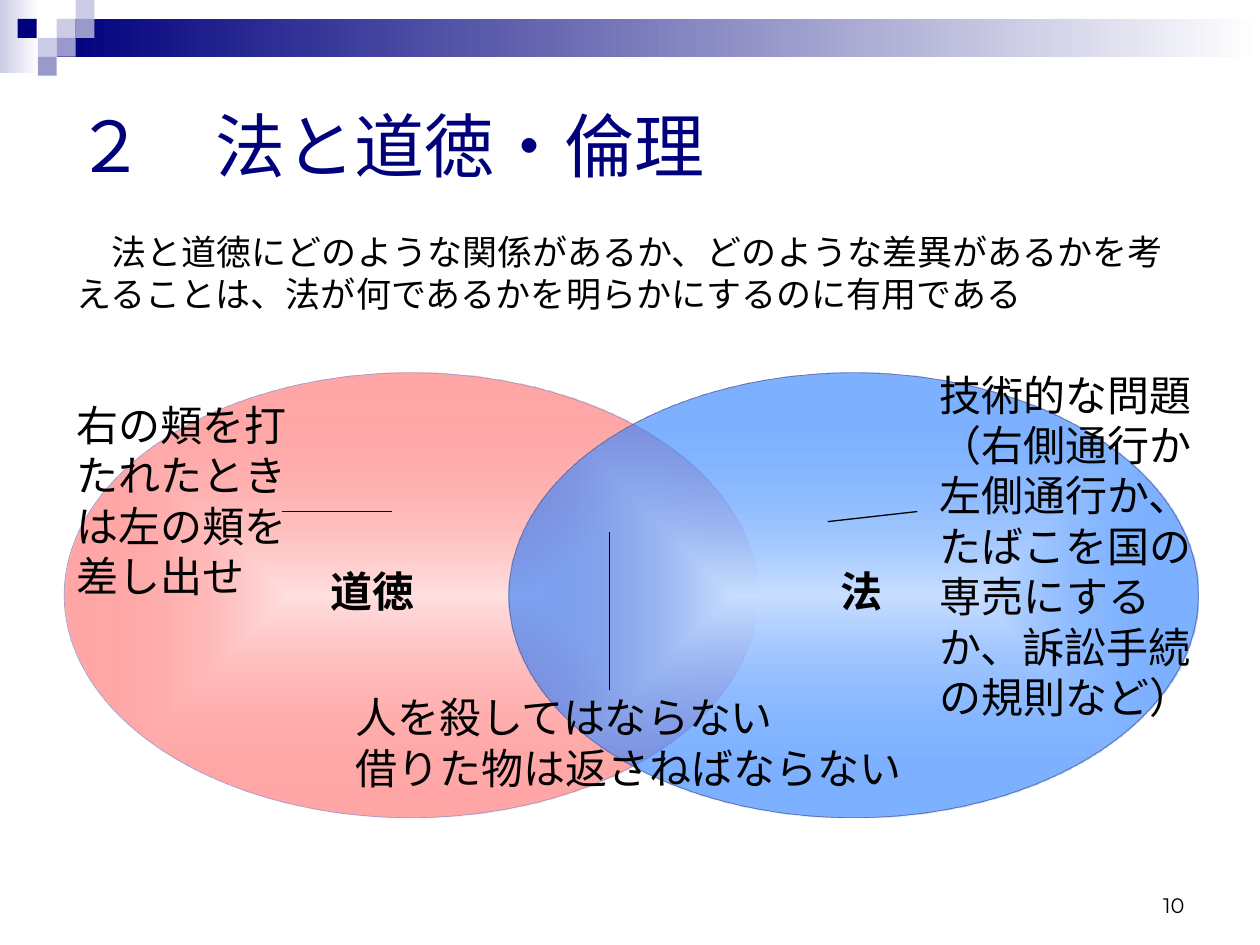
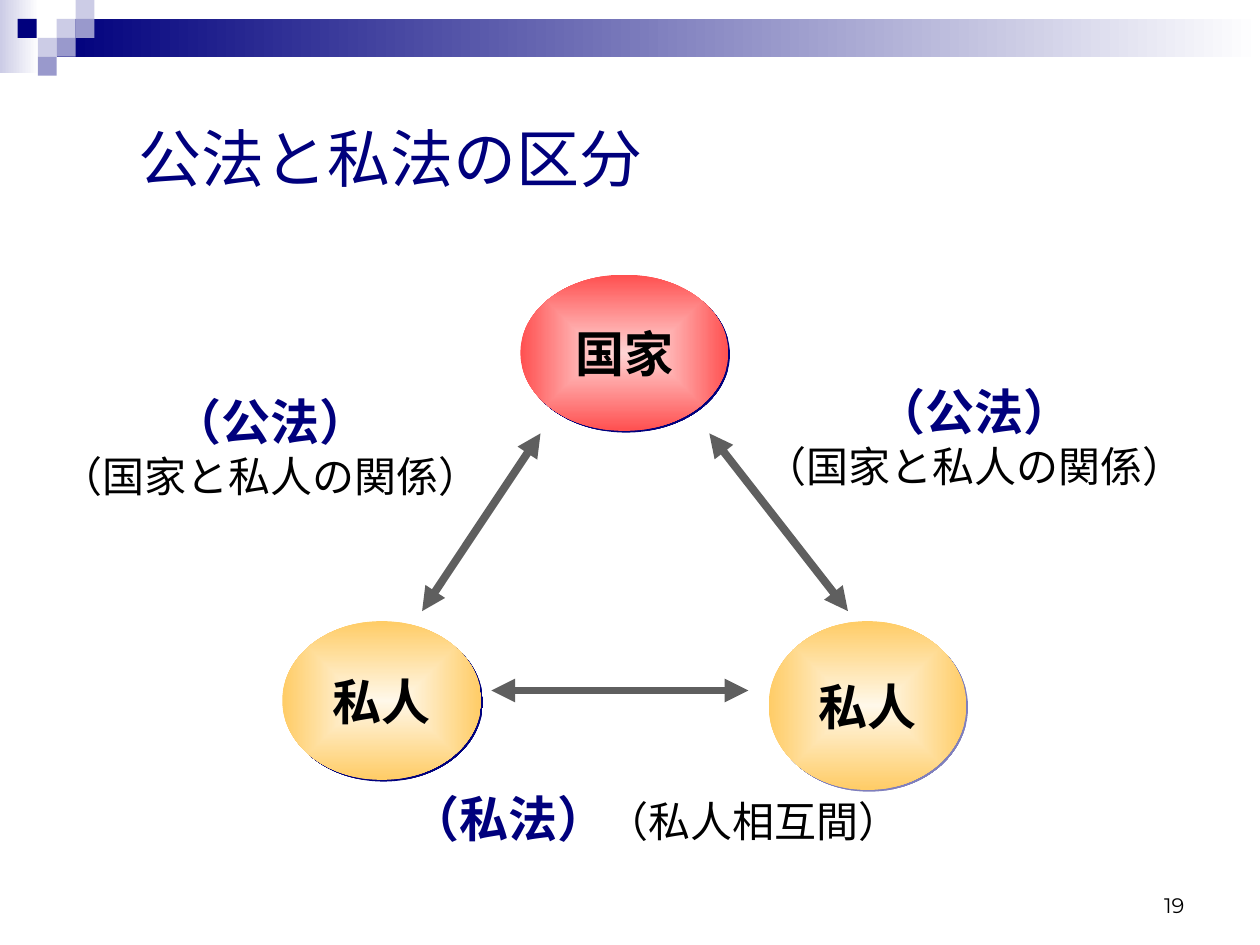
from lxml import etree
from pptx import Presentation
from pptx.dml.color import RGBColor
from pptx.enum.shapes import MSO_CONNECTOR, MSO_SHAPE
from pptx.enum.text import MSO_ANCHOR, MSO_AUTO_SIZE, PP_ALIGN
from pptx.oxml import parse_xml
from pptx.oxml.ns import nsdecls, qn
from pptx.util import Pt

PX = 9144
RECT, ELLIPSE = MSO_SHAPE.RECTANGLE, MSO_SHAPE.OVAL
STRAIGHT = MSO_CONNECTOR.STRAIGHT
LEFT, CENTER, RIGHT = PP_ALIGN.LEFT, PP_ALIGN.CENTER, PP_ALIGN.RIGHT
TOP, MIDDLE, BOTTOM = MSO_ANCHOR.TOP, MSO_ANCHOR.MIDDLE, MSO_ANCHOR.BOTTOM
GROW = MSO_AUTO_SIZE.SHAPE_TO_FIT_TEXT
NAVY, LILAC, PALE, BLACK, GREY = "00007D", "9999CC", "CCCCE6", "000000", "5F5F5F"
color = RGBColor.from_string


def add_shape(shapes, kind, box, fill, end=None, alpha=100, line=None):
    sp = shapes.add_shape(kind, *[v * PX for v in box])
    if end is None:
        sp.fill.solid()
        sp.fill.fore_color.rgb = color(fill)
    else:
        sp.fill.gradient()
        for stop, value in zip(sp.fill.gradient_stops, (fill, end)):
            stop.color.rgb = color(value)
        grad = sp._element.spPr.find(qn("a:gradFill"))
        first, last = grad.findall(".//" + qn("a:gs"))
        first.set("pos", "0")
        last.set("pos", "100000")
        if alpha < 100:
            etree.SubElement(last[0], qn("a:alpha"), val=str(alpha * 1000))
        if kind == ELLIPSE:
            grad.replace(grad.find(qn("a:lin")), parse_xml(
                f'<a:path {nsdecls("a")} path="rect"><a:fillToRect '
                'l="50000" t="50000" r="50000" b="50000"/></a:path>'))
        else:
            sp.fill.gradient_angle = 0
    if line:
        sp.line.color.rgb = color(line)
        sp.line.width = Pt(0.37)
    else:
        sp.line.fill.background()
    sp.shadow.inherit = False
    return sp


def write(sp, lines, size, rgb=BLACK, bold=False, align=LEFT, anchor=TOP,
          wrap=True, grow=False, font="Arial"):
    tf = sp.text_frame
    tf.word_wrap = wrap
    tf.vertical_anchor = anchor
    if grow:
        tf.auto_size = GROW
    for i, line in enumerate(lines):
        p = tf.paragraphs[0] if i == 0 else tf.add_paragraph()
        p.alignment = align
        p.font.name = font
        p.font.size = Pt(size)
        p.font.bold = bold
        p.font.color.rgb = color(rgb)
        p._p.get_or_add_pPr().set("hangingPunct", "0")
        p.add_run().text = line
    return tf


prs = Presentation()
prs.slide_width, prs.slide_height = 1000 * PX, 750 * PX

pages = [
    ("10", "２　法と道徳・倫理", 40, (50, 68, 900, 94)),
    ("19", "　公法と私法の区分", 36, (50, 50, 900, 150)),
]
squares = [(45, 15, PALE), (60, 0, PALE), (60, 15, LILAC), (30, 30, PALE),
           (14, 15, NAVY), (45, 30, LILAC), (30, 45, LILAC)]
slides = []
for number, title, size, box in pages:
    s = prs.slides.add_slide(prs.slide_layouts[6])
    band = s.shapes.add_group_shape().shapes
    add_shape(band, RECT, (0, 0, 31, 58), PALE, "FFFFFF")
    add_shape(band, RECT, (45, 15, 955, 30), NAVY, "FFFFFF")
    for x, y, fill in squares:
        add_shape(band, RECT, (x, y, 15, 15), fill)
    sp = s.shapes.add_textbox(717 * PX, 683 * PX, 233 * PX, 50 * PX)
    write(sp, [number], 12, align=RIGHT, anchor=BOTTOM, font="Montserrat")
    sp = s.shapes.add_textbox(*[v * PX for v in box])
    tf = write(sp, [title], size, NAVY, anchor=MIDDLE)
    etree.SubElement(tf.paragraphs[0]._p.pPr.find(qn("a:defRPr")), qn("a:ea"), typeface="Arial")
    slides.append(s)
morals, division = slides

sp = morals.shapes.add_textbox(51 * PX, 178 * PX, 900 * PX, 95 * PX)
tf = write(sp, ["　法と道徳にどのような関係があるか、どのような差異があるかを考えることは、"
                "法が何であるかを明らかにするのに有用である"], 20)
tf.paragraphs[0].space_before = Pt(5)

venn = morals.shapes.add_group_shape().shapes
add_shape(venn, ELLIPSE, (51, 296, 550, 353), "FFE0E0", "FF5050", 50, LILAC)
add_shape(venn, ELLIPSE, (404, 296, 547, 353), "C9DFFF", "0066FF", 50, "666699")
for x, label in [(598, "法"), (210, "道徳")]:
    sp = venn.add_textbox(x * PX, 452 * PX, 172 * PX, 34 * PX)
    write(sp, [label], 24, bold=True, align=CENTER, anchor=MIDDLE, wrap=False)

examples = [
    ((272, 544, 453, 90), False, ["人を殺してはならない", "借りた物は返さねばならない"]),
    ((51, 312, 189, 170), True, ["右の頬を打たれたときは左の頬を差し出せ"]),
    ((736, 288, 236, 290), True,
     ["技術的な問題", "（右側通行か左側通行か、たばこを国の専売にするか、訴訟手続の規則など）"]),
]
for box, wrap, lines in examples:
    sp = morals.shapes.add_textbox(*[v * PX for v in box])
    write(sp, lines, 24, wrap=wrap, grow=True)

parties = [
    ((610, 493, 157, 134), "私人", "FFF8E9", "FFCC66", 50),
    ((224, 493, 158, 126), "私人", "FFF8E9", "FFCC66", 100),
    ((413, 218, 165, 124), "国家", "FFD4D4", "FF5050", 100),
]
for box, label, inner, outer, opacity in parties:
    sp = add_shape(division.shapes, ELLIPSE, box, inner, outer)
    sp._element.spPr.find(qn("a:effectLst")).append(parse_xml(
        f'<a:outerShdw {nsdecls("a")} dist="17780" dir="2700000" algn="ctr" rotWithShape="0">'
        f'<a:srgbClr val="{NAVY}"><a:alpha val="{opacity * 1000}"/></a:srgbClr></a:outerShdw>'))
    write(sp, [label], 28, bold=True, align=CENTER, anchor=MIDDLE, wrap=False)

links = [
    (morals, (484, 422, 484, 548), BLACK, 0.75, False),
    (morals, (224, 406, 311, 406), BLACK, 0.75, False),
    (morals, (657, 414, 728, 406), BLACK, 0.75, False),
    (division, (429, 344, 335, 485), GREY, 4.5, True),
    (division, (390, 548, 594, 548), GREY, 4.5, True),
    (division, (563, 344, 673, 485), GREY, 4.5, True),
]
for s, ends, rgb, width, arrows in links:
    link = s.shapes.add_connector(STRAIGHT, *[v * PX for v in ends])
    link.line.color.rgb = color(rgb)
    link.line.width = Pt(width)
    if arrows:
        for tag in ("a:headEnd", "a:tailEnd"):
            etree.SubElement(link.line._get_or_add_ln(), qn(tag), type="triangle")
    etree.SubElement(link._element.spPr, qn("a:effectLst"))

for x, y in [(597, 298), (38, 306)]:
    sp = division.shapes.add_textbox(x * PX, y * PX, 353 * PX, 97 * PX)
    tf = write(sp, ["（公法）", "（国家と私人の関係）"], 24, align=CENTER, wrap=False, grow=True)
    p = tf.paragraphs[0]
    p.font.size = Pt(28)
    p.font.bold = True
    p.font.color.rgb = color(NAVY)

sp = division.shapes.add_textbox(316 * PX, 621 * PX, 416 * PX, 57 * PX)
tf = write(sp, ["（私法）"], 28, NAVY, bold=True, wrap=False, grow=True)
r = tf.paragraphs[0].add_run()
r.text = "（私人相互間）"
r.font.size = Pt(24)
r.font.bold = False
r.font.color.rgb = color(BLACK)

prs.save("out.pptx")
